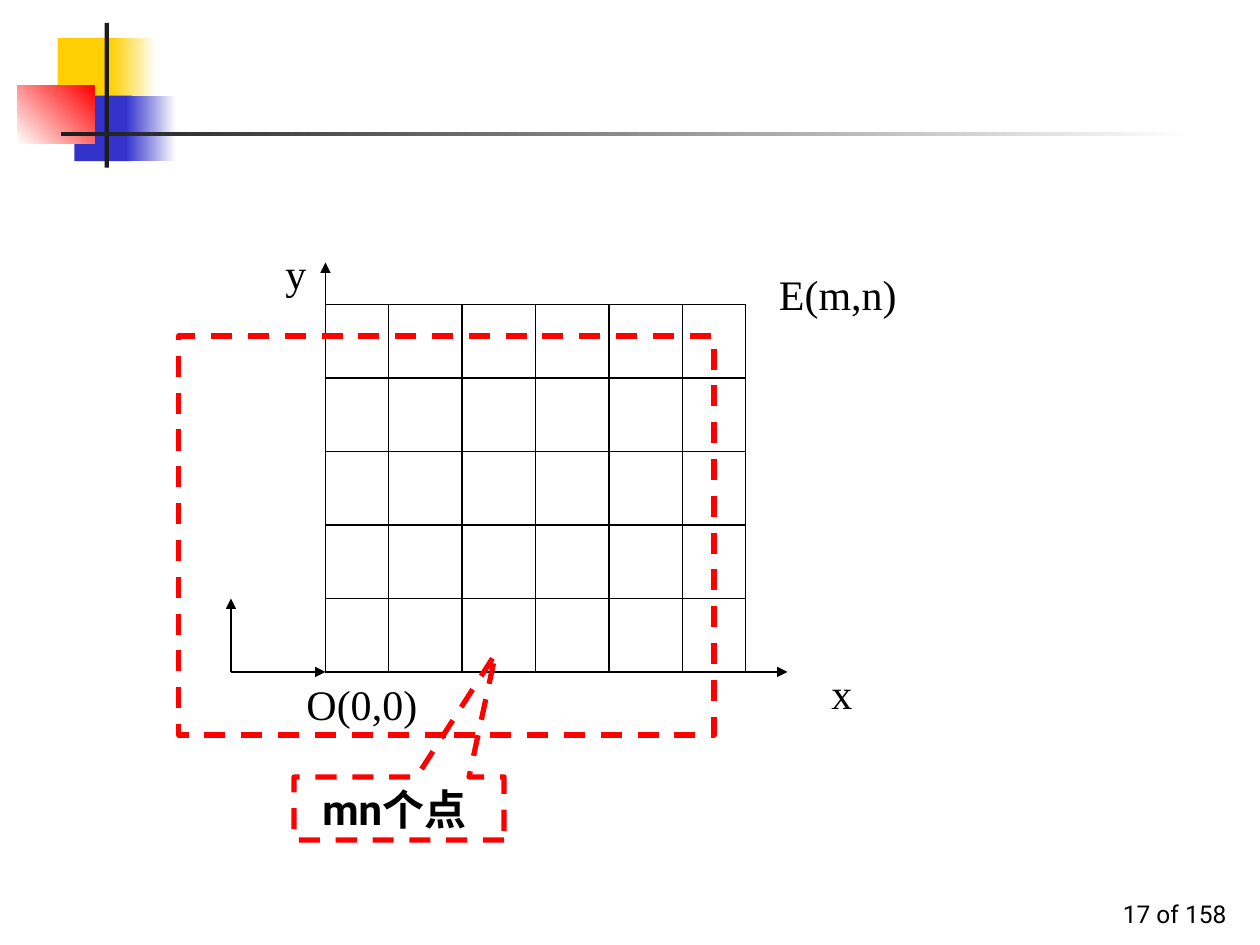
from dataclasses import dataclass
from lxml.etree import SubElement
from pptx import Presentation
from pptx.dml.color import RGBColor
from pptx.enum.dml import MSO_LINE
from pptx.enum.shapes import MSO_CONNECTOR, MSO_SHAPE
from pptx.enum.text import MSO_ANCHOR, PP_ALIGN
from pptx.oxml.ns import qn
from pptx.util import Pt


@dataclass
class Theme:
    black: str = "000000"
    white: str = "FFFFFF"
    dark: str = "1C1C1C"
    gold: str = "FFCF01"
    blue: str = "3333CC"
    red: str = "FF0000"
    serif: str = "Times New Roman"
    sans: str = "Roboto"
    label: int = 24
    small: int = 14
    thin: float = 0.75
    thick: int = 3


def apply(item, form):
    for name, value in form.items():
        setattr(item, name, value)


def color(code):
    return RGBColor.from_string(code)


class Deck:
    def __init__(self, theme):
        self.theme = theme
        self.show = Presentation()
        apply(self.show, {"slide_width": Pt(720), "slide_height": Pt(540)})
        self.slide = self.show.slides.add_slide(self.show.slide_layouts[6])

    def shape(self, kind, box):
        item = self.slide.shapes.add_shape(kind, *map(Pt, box))
        item.shadow.inherit = False
        return item

    def block(self, box, *tones, angle=0):
        item = self.shape(MSO_SHAPE.RECTANGLE, box)
        item.line.fill.background()
        if len(tones) == 1:
            item.fill.solid()
            item.fill.fore_color.rgb = color(tones[0])
            return
        item.fill.gradient()
        item.fill.gradient_angle = angle
        for stop, tone, place in zip(item.fill.gradient_stops, tones, (0, 1)):
            stop.color.rgb = color(tone)
            stop.position = place

    def frame(self, kind, box):
        item = self.shape(kind, box)
        item.fill.background()
        item.line.color.rgb = color(self.theme.red)
        apply(item.line, {"width": Pt(self.theme.thick), "dash_style": MSO_LINE.DASH})
        return item

    def line(self, start, end, arrow=False):
        ends = map(Pt, (*start, *end))
        item = self.slide.shapes.add_connector(MSO_CONNECTOR.STRAIGHT, *ends)
        item.line.color.rgb = color(self.theme.black)
        item.line.width = Pt(self.theme.thin)
        props = item._element.spPr
        if arrow:
            SubElement(props.find(qn("a:ln")), qn("a:tailEnd"), type="triangle")
        SubElement(props, qn("a:effectLst"))

    def letter(self, item, words, font, align=PP_ALIGN.LEFT, anchor=MSO_ANCHOR.TOP, before=15):
        apply(item.text_frame, {"word_wrap": True, "vertical_anchor": anchor})
        para = item.text_frame.paragraphs[0]
        apply(para, {"alignment": align, "space_before": Pt(before)})
        run = para.add_run()
        run.text = words
        apply(run.font, font)
        run.font.color.rgb = color(self.theme.black)

    def text(self, words, box, font, **form):
        item = self.slide.shapes.add_textbox(*map(Pt, box))
        self.letter(item, words, font, **form)

    def callout(self, words, box, tip, font):
        item = self.frame(MSO_SHAPE.RECTANGULAR_CALLOUT, box)
        item.rotation = 180
        for spot, value in enumerate(tip):
            item.adjustments[spot] = value
        self.letter(item, words, font, align=PP_ALIGN.CENTER)
        item.text_frame._txBody.bodyPr.set("rot", "10800000")


def main():
    theme = Theme()
    deck = Deck(theme)

    deck.block((33, 21.6, 34.6, 37.4), theme.gold)
    deck.block((63.4, 21.6, 25.9, 37.4), theme.gold, theme.white)
    deck.block((42.5, 54.7, 33.1, 37.4), theme.blue)
    deck.block((72, 54.7, 28.8, 37.4), theme.blue, theme.white)
    deck.block((10, 48.6, 44, 33.6), theme.white, theme.red, angle=45)
    deck.block((59.8, 13, 2.5, 82.8), theme.dark)
    deck.block((34.8, 75.4, 648, 2.3), theme.dark, theme.white)

    small = {"name": theme.sans, "size": Pt(theme.small)}
    deck.text("17 of 158", (558, 498, 150, 36), small,
              align=PP_ALIGN.RIGHT, anchor=MSO_ANCHOR.BOTTOM, before=0)

    left, right, top, base, step = 186, 426, 174, 384, 42
    zero = (left, base)
    side = (left - 54, base)
    deck.line(zero, (left, top - 24), arrow=True)
    deck.line(zero, (right + 24, base), arrow=True)
    for y in range(top, base, step):
        deck.line((left, y), (right, y))
    for x in (*range(left + 36, right, step), right):
        deck.line((x, top), (x, base))
    deck.line(side, zero, arrow=True)
    deck.line(side, (side[0], base - step), arrow=True)

    label = {"name": theme.serif, "size": Pt(theme.label)}
    for words, x, y, wide in (
        ("E(m,n)", 438, 150, 84),
        ("O(0,0)", 168, 384, 90),
        ("x", 468, 378, 66),
        ("y", 156, 138, 54),
    ):
        deck.text(words, (x, y, wide, 36), label)

    deck.frame(MSO_SHAPE.RECTANGLE, (102, 192, 306, 228))
    bold = {"name": theme.sans, "size": Pt(theme.label), "bold": True}
    deck.callout("mn个点 ", (168, 444, 120, 36), (-0.46, 2.46), bold)

    deck.show.save("out.pptx")


if __name__ == "__main__":
    main()
